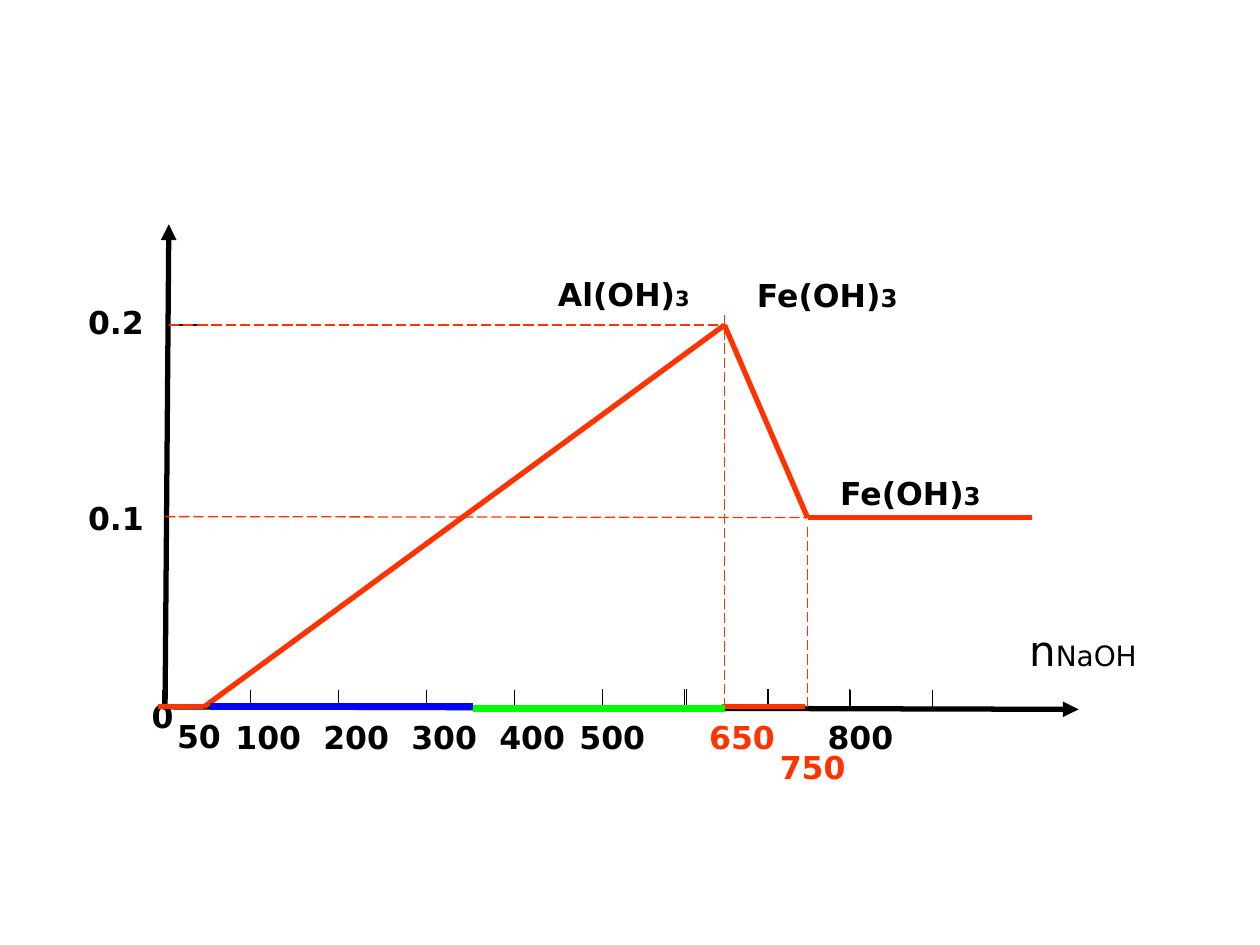
from typing import NamedTuple

from lxml.etree import SubElement
from pptx import Presentation
from pptx.dml.color import RGBColor
from pptx.enum.dml import MSO_LINE
from pptx.enum.shapes import MSO_CONNECTOR
from pptx.enum.text import MSO_AUTO_SIZE, PP_ALIGN
from pptx.oxml.ns import qn
from pptx.util import Inches, Pt

# Grid: 100 columns by 75 rows over the whole slide
COLUMNS, ROWS = 100, 75
BLACK, RED, BLUE, GREEN = "000000", "FF3300", "0000FF", "00FF00"
FONT = "DejaVu Sans"

# Key places on the graph, in columns and rows
ORIGIN, AXIS = 12.9, 56.1
START, PEAK, BEND, END = 16.2, 57.5, 64.1, 81.9
TOP, PLATEAU = 25.8, 41.1
TICK_STEP, TICK_HEIGHT = 6.98, 1.3
LABEL_WIDTH, LABEL_HEIGHT = 8.4, 4

presentation = Presentation()
presentation.slide_width = Inches(10)
presentation.slide_height = Inches(7.5)
slide = presentation.slides.add_slide(presentation.slide_layouts[6])


class Point(NamedTuple):
    column: float
    row: float


class Label(NamedTuple):
    text: str
    corner: Point
    color: str = BLACK


class Compound(NamedTuple):
    name: str
    corner: Point
    width: float
    subscript_size: float


def across(columns: float) -> int:
    return round(presentation.slide_width * columns / COLUMNS)


def down(rows: float) -> int:
    return round(presentation.slide_height * rows / ROWS)


def rgb(color: str) -> RGBColor:
    return RGBColor.from_string(color)


def draw_line(start: Point, end: Point, color: str = BLACK, width: float = 0.75,
              dashed: bool = False, arrow: bool = False) -> None:
    line = slide.shapes.add_connector(
        MSO_CONNECTOR.STRAIGHT, across(start.column), down(start.row),
        across(end.column), down(end.row))
    line.line.color.rgb = rgb(color)
    line.line.width = Pt(width)
    if dashed:
        line.line.dash_style = MSO_LINE.LONG_DASH
    properties = line._element.spPr
    if arrow:
        SubElement(properties.find(qn("a:ln")), qn("a:tailEnd"), type="triangle")
    SubElement(properties, qn("a:effectLst"))


def write(text: str, corner: Point, *, width: float = LABEL_WIDTH,
          height: float = LABEL_HEIGHT, size: float = 18, color: str = BLACK,
          bold: bool = True, centred: bool = True, subscript: str = "",
          subscript_size: float = 12) -> None:
    frame = slide.shapes.add_textbox(
        across(corner.column), down(corner.row), across(width), down(height)).text_frame
    frame.word_wrap = True
    frame.auto_size = MSO_AUTO_SIZE.SHAPE_TO_FIT_TEXT
    paragraph = frame.paragraphs[0]
    paragraph.alignment = PP_ALIGN.CENTER if centred else PP_ALIGN.LEFT
    for part, part_size in ((text, size), (subscript, subscript_size)):
        if part:
            run = paragraph.add_run()
            run.text = part
            run.font.name = FONT
            run.font.size = Pt(part_size)
            run.font.bold = bold
            run.font.color.rgb = rgb(color)


def draw_tick(column: float, foot: float, height: float = TICK_HEIGHT) -> None:
    draw_line(Point(column, foot - height), Point(column, foot))


# Axes
draw_line(Point(13.1, 56.3), Point(13.4, 17.8), width=3, arrow=True)
draw_line(Point(ORIGIN, AXIS), Point(85.6, 56.3), width=3, arrow=True)
write("n", Point(76.9, 49.1), width=18.1, height=5, size=24, bold=False,
      subscript="NaOH", subscript_size=16)

# Ticks from 0 to 500, then paired ticks with their base lines
for index in range(6):
    draw_tick(ORIGIN + index * TICK_STEP, AXIS)
draw_line(Point(ORIGIN, AXIS), Point(ORIGIN + 5 * TICK_STEP, AXIS))
for left, base in ((47.8, 56.3), (54.5, 56.3), (60.9, 56.3), (67.5, 56.4)):
    draw_line(Point(left, base), Point(left + 7.5, base))
    for column in (left, left + 6.5):
        draw_tick(column, base, height=1.6)

# Axis values
x_labels = [Label(str(100 * (index + 1)), Point(17.1 + index * TICK_STEP, 56.5))
            for index in range(4)]
other_labels = [
    Label("0", Point(8.7, 54.8)),
    Label("50", Point(11.6, 56.4)),
    Label("500", Point(44.4, 56.5)),
    Label("650", Point(54.7, 56.5), RED),
    Label("750", Point(60.3, 58.9), RED),
    Label("800", Point(64.1, 56.5)),
    Label("0.1", Point(5, 39.1)),
    Label("0.2", Point(5, 23.6)),
]
for label in x_labels + other_labels:
    write(label.text, label.corner, color=label.color)

# Guides
draw_line(Point(13.4, TOP), Point(13.4, PLATEAU))
draw_line(Point(13.4, TOP), Point(START, TOP))
for guide_start, guide_end in (
    (Point(13.1, 41), Point(END, PLATEAU)),
    (Point(BEND, 41.8), Point(BEND, 56.2)),
    (Point(PEAK, 25), Point(PEAK, 56.3)),
    (Point(13.4, TOP), Point(PEAK, TOP)),
):
    draw_line(guide_start, guide_end, RED, dashed=True)

# Precipitate curve
curve = [Point(12.5, AXIS), Point(START, AXIS), Point(PEAK, TOP),
         Point(BEND, PLATEAU), Point(END, PLATEAU)]
for curve_start, curve_end in zip(curve, curve[1:]):
    draw_line(curve_start, curve_end, RED, 3)

# Coloured stretches of the horizontal axis
draw_line(Point(57.3, AXIS), Point(63.9, AXIS), RED, 3)
draw_line(Point(16.7, AXIS), Point(37.5, AXIS), BLUE, 4)
draw_line(Point(37.5, 56.2), Point(PEAK, 56.2), GREEN, 4)

# Compounds along the curve
for compound in (
    Compound("Al(OH)", Point(43.3, 21.3), 15.8, 12),
    Compound("Fe(OH)", Point(59.1, 21.4), 23.4, 14),
    Compound("Fe(OH)", Point(65.7, 37.1), 23.4, 14),
):
    write(compound.name, compound.corner, width=compound.width, centred=False,
          subscript="3", subscript_size=compound.subscript_size)

presentation.save("out.pptx")
